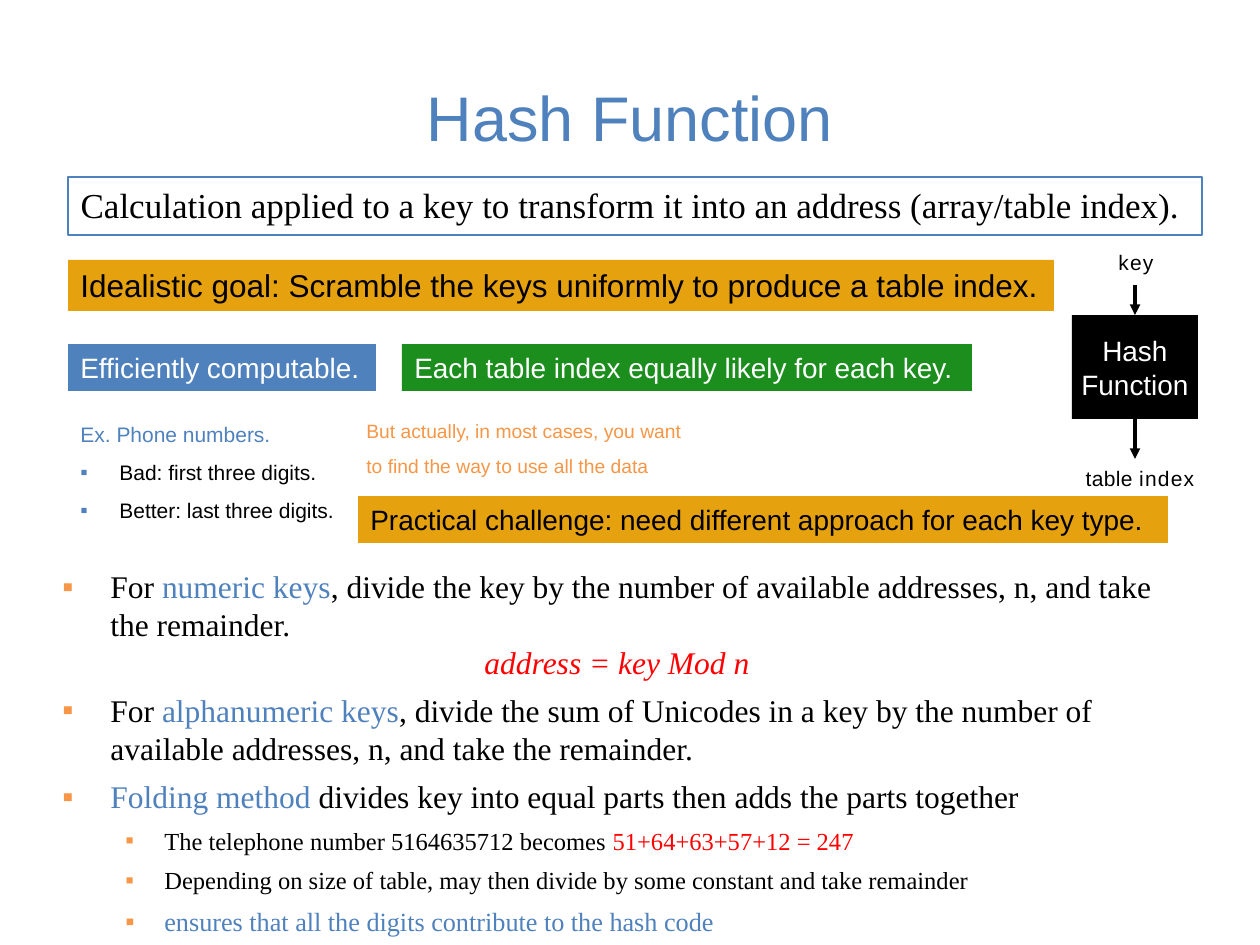
from lxml import etree
from pptx import Presentation
from pptx.dml.color import RGBColor
from pptx.enum.shapes import MSO_CONNECTOR, MSO_SHAPE
from pptx.enum.text import MSO_ANCHOR, MSO_AUTO_SIZE, PP_ALIGN
from pptx.oxml.ns import qn
from pptx.util import Emu, Pt

PX = 914400 / 126
STRAIGHT = MSO_CONNECTOR.STRAIGHT
RECTANGLE = MSO_SHAPE.RECTANGLE
TOP, MIDDLE = MSO_ANCHOR.TOP, MSO_ANCHOR.MIDDLE
LEFT, CENTER = PP_ALIGN.LEFT, PP_ALIGN.CENTER
FIXED = MSO_AUTO_SIZE.NONE

BLACK = RGBColor(0x00, 0x00, 0x00)
WHITE = RGBColor(0xFF, 0xFF, 0xFF)
BLUE = RGBColor(0x4F, 0x81, 0xBD)
GREEN = RGBColor(0x1B, 0x8E, 0x1D)
GOLD = RGBColor(0xE6, 0xA2, 0x0E)
ORANGE = RGBColor(0xF7, 0x96, 0x46)
RED = RGBColor(0xFF, 0x00, 0x00)

SANS, SERIF = "Arial", "Times New Roman"
NO_INSET = dict.fromkeys(
    ("margin_left", "margin_top", "margin_right", "margin_bottom"), 0)


def px(length):
    return Emu(round(length * PX))


def apply(target, formats):
    for name, value in formats.items():
        setattr(target, name, value)


def place(shape, bounds):
    apply(shape, dict(zip(("left", "top", "width", "height"), map(px, bounds))))


def set_indent(paragraph, margin, hanging, bullet_color=None):
    properties = paragraph._p.get_or_add_pPr()
    properties.set("marL", str(px(margin)))
    properties.set("indent", str(-px(hanging)))
    if bullet_color is None:
        etree.SubElement(properties, qn("a:buNone"))
        return
    color = etree.SubElement(properties, qn("a:buClr"))
    etree.SubElement(color, qn("a:srgbClr")).set("val", str(bullet_color))
    etree.SubElement(properties, qn("a:buFont")).set("typeface", SANS)
    etree.SubElement(properties, qn("a:buChar")).set("char", "▪")


def add_runs(paragraph, runs, font, size, **formats):
    for text, color in runs:
        run = paragraph.add_run()
        run.text = text
        apply(run.font, {"name": font, "size": Pt(size), **formats})
        run.font.color.rgb = color


def prepare_frame(shape, **formats):
    frame = shape.text_frame
    apply(frame, {"word_wrap": True, "auto_size": FIXED,
                  "vertical_anchor": TOP, **formats})
    return frame


def next_paragraph(frame, index):
    return frame.paragraphs[0] if index == 0 else frame.add_paragraph()


def fill_placeholder(placeholder, bounds, text, color, font, size, align, anchor):
    place(placeholder, bounds)
    paragraph = prepare_frame(placeholder, vertical_anchor=anchor).paragraphs[0]
    set_indent(paragraph, 0, 0)
    apply(paragraph, {"alignment": align, "space_before": Pt(0)})
    add_runs(paragraph, [(text, color)], font, size)


def add_banner(slide, bounds, lines, fill, color, size, align=LEFT, **formats):
    banner = slide.shapes.add_shape(RECTANGLE, *map(px, bounds))
    banner.shadow.inherit = False
    banner.fill.solid()
    banner.fill.fore_color.rgb = fill
    banner.line.fill.background()
    frame = prepare_frame(banner, **formats)
    for index, line in enumerate(lines):
        paragraph = next_paragraph(frame, index)
        paragraph.alignment = align
        add_runs(paragraph, [(line, color)], SANS, size)
    return banner


def add_label(slide, bounds, parts):
    label = slide.shapes.add_textbox(*map(px, bounds))
    paragraph = prepare_frame(label, vertical_anchor=MIDDLE, **NO_INSET).paragraphs[0]
    paragraph.alignment = CENTER
    add_runs(paragraph, [(text, BLACK) for text, _ in parts], SANS, 12)
    for run, (_, spacing) in zip(paragraph.runs, parts):
        run.font._element.set("spc", str(spacing))


def add_arrow(slide, x, top, bottom):
    arrow = slide.shapes.add_connector(STRAIGHT, px(x), px(top), px(x), px(bottom))
    arrow.line.color.rgb = BLACK
    arrow.line.width = Pt(2)
    etree.SubElement(arrow.line._get_or_add_ln(), qn("a:tailEnd")).set("type", "triangle")
    etree.SubElement(arrow._element.spPr, qn("a:effectLst"))
    return arrow


def add_notes(slide, bounds, lines, size, wrap=True):
    notes = slide.shapes.add_textbox(*map(px, bounds))
    frame = prepare_frame(notes, word_wrap=wrap)
    for index, (text, color, bulleted) in enumerate(lines):
        paragraph = next_paragraph(frame, index)
        if bulleted:
            set_indent(paragraph, 39, 39, BLUE)
        paragraph.line_spacing = 1.5
        add_runs(paragraph, [(text, color)], SANS, size)


def add_methods(slide, bounds, methods):
    box = slide.shapes.add_textbox(*map(px, bounds))
    frame = prepare_frame(box)
    indents = {0: (48, 48), 1: (102, 39)}
    for index, (level, size, before, after, runs) in enumerate(methods):
        paragraph = next_paragraph(frame, index)
        is_formula = level is None
        if not is_formula:
            set_indent(paragraph, *indents[level], ORANGE)
        apply(paragraph, {"level": level or 0,
                          "alignment": CENTER if is_formula else LEFT,
                          "space_before": Pt(before), "space_after": Pt(after)})
        add_runs(paragraph, runs, SERIF, size, italic=is_formula)


def main():
    deck = Presentation()
    deck.slide_width, deck.slide_height = px(1260), px(945)
    slide = deck.slides.add_slide(deck.slide_layouts[1])
    title, definition = slide.placeholders

    fill_placeholder(title, (63, 37, 1134, 158), "Hash Function",
                     BLUE, SANS, 36, CENTER, MIDDLE)
    fill_placeholder(
        definition, (68, 177, 1134, 58),
        "Calculation applied to a key to transform it into an address (array/table index).",
        BLACK, SERIF, 20, LEFT, TOP)
    definition.line.color.rgb = BLUE
    definition.line.width = Pt(0.75)

    banners = [
        ((68, 260, 986, 51), GOLD, BLACK, 18,
         "Idealistic goal: Scramble the keys uniformly to produce a table index."),
        ((358, 496, 810, 47), GOLD, BLACK, 16,
         "Practical challenge: need different approach for each key type."),
        ((402, 344, 570, 47), GREEN, WHITE, 16,
         "Each table index equally likely for each key."),
        ((68, 344, 308, 47), BLUE, WHITE, 16, "Efficiently computable."),
    ]
    for bounds, fill, color, size, text in banners:
        add_banner(slide, bounds, [text], fill, color, size)

    hash_box = add_banner(slide, (1072, 315, 126, 104), ["Hash", "Function"], BLACK,
                          WHITE, 16, CENTER, vertical_anchor=MIDDLE, **NO_INSET)
    add_label(slide, (1116, 248, 40, 28), [("key", 70)])
    add_label(slide, (1073, 464, 134, 29), [("table ", 20), ("index", 70)])
    add_arrow(slide, 1135, 285, 315).end_connect(hash_box, 0)
    add_arrow(slide, 1135, 419, 459).begin_connect(hash_box, 2)

    add_methods(slide, (50, 561, 1134, 373), [
        (0, 18, 0, 0, [
            ("For ", BLACK), ("numeric keys", BLUE),
            (", divide the key by the number of available addresses, n, "
             "and take the remainder.", BLACK)]),
        (None, 18, 0, 3, [("address = key Mod n", RED)]),
        (0, 18, 3, 3, [
            ("For ", BLACK), ("alphanumeric keys", BLUE),
            (", divide the sum of Unicodes in a key by the number of available "
             "addresses, n, and take the remainder.", BLACK)]),
        (0, 18, 3, 3, [
            ("Folding method ", BLUE),
            ("divides key into equal parts then adds the parts together", BLACK)]),
        (1, 14, 3, 3, [
            ("The telephone number 5164635712 becomes ", BLACK),
            ("51+64+63+57+12 = 247", RED)]),
        (1, 14, 3, 3, [
            ("Depending on size of table, may then divide by some constant "
             "and take remainder", BLACK)]),
        (1, 15, 3, 3, [
            ("ensures that all the digits contribute to the hash code", BLUE)]),
    ])
    add_notes(slide, (68, 403, 282, 122), [
        ("Ex. Phone numbers.", BLUE, False),
        ("Bad: first three digits.", BLACK, True),
        ("Better: last three digits.", BLACK, True),
    ], 12, wrap=False)
    add_notes(slide, (354, 402, 343, 78), [
        ("But actually, in most cases, you want to find the way to use all the data",
         ORANGE, False),
    ], 11)
    deck.save("out.pptx")


if __name__ == "__main__":
    main()
